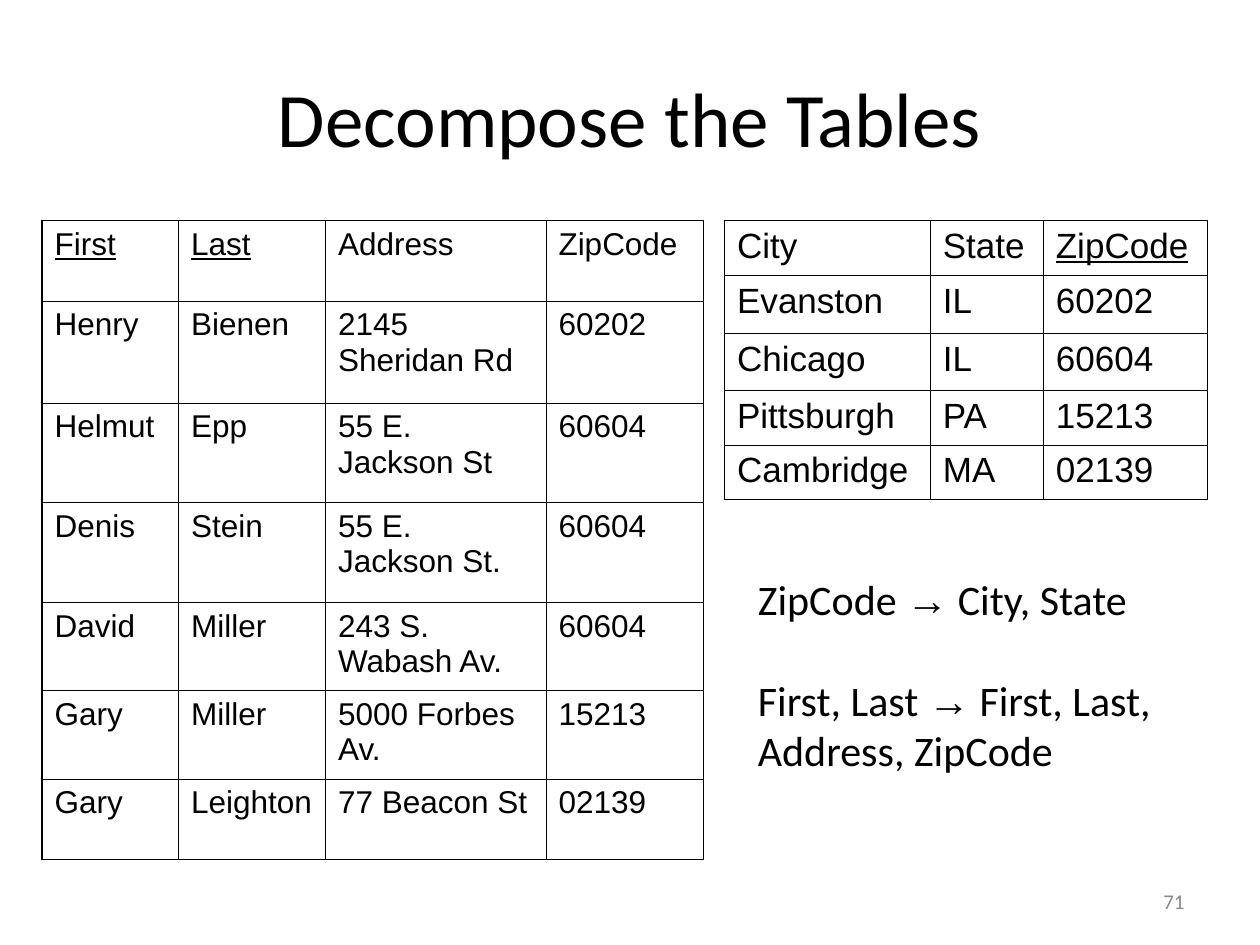
from lxml.etree import SubElement
from pptx import Presentation
from pptx.dml.color import RGBColor
from pptx.enum.text import MSO_ANCHOR as Anchor, PP_ALIGN as Align
from pptx.oxml.ns import qn
from pptx.util import Pt

BLACK = RGBColor(0x00, 0x00, 0x00)
GREY = RGBColor(0x89, 0x89, 0x89)
ARROW = "→"
OUTER, INNER = 1.08, 0.45

PLACES = [
    ("City", "State", "ZipCode"),
    ("Evanston", "IL", "60202"),
    ("Chicago", "IL", "60604"),
    ("Pittsburgh", "PA", "15213"),
    ("Cambridge", "MA", "02139"),
]
PEOPLE = [
    ("First", "Last", "Address", "ZipCode"),
    ("Henry", "Bienen", "2145 Sheridan Rd", "60202"),
    ("Helmut", "Epp", "55 E. Jackson St", "60604"),
    ("Denis", "Stein", "55 E. Jackson St.", "60604"),
    ("David", "Miller", "243 S. Wabash Av.", "60604"),
    ("Gary", "Miller", "5000 Forbes Av.", "15213"),
    ("Gary", "Leighton", "77 Beacon St", "02139"),
]


def write(p, text, size, font="Calibri", color=BLACK, align=Align.LEFT, underline=False):
    p.alignment = align
    for part in filter(None, text.partition(ARROW)):
        r = p.add_run()
        r.text = part
        r.font.name = "Arial" if part == ARROW else font
        r.font.size = Pt(size)
        r.font.color.rgb = color
        if underline:
            r.font.underline = True


def add_text(slide, box, lines, anchor=Anchor.TOP, gap=0, **fmt):
    tf = slide.shapes.add_textbox(*map(Pt, box)).text_frame
    tf.word_wrap = True
    tf.vertical_anchor = anchor
    for i, line in enumerate(lines):
        p = tf.add_paragraph() if i else tf.paragraphs[0]
        if i:
            p.space_before = Pt(gap)
        write(p, line, **fmt)


def set_border(cell, side, width):
    tc_pr = cell._tc.get_or_add_tcPr()
    ln = SubElement(tc_pr, qn(f"a:ln{side}"), w=str(Pt(width)))
    fill = SubElement(ln, qn("a:solidFill"))
    SubElement(fill, qn("a:srgbClr"), val=str(BLACK))


def add_grid(slide, left, top, widths, heights, rows, keys, size):
    last_row, last_col = len(heights) - 1, len(widths) - 1
    frame = slide.shapes.add_table(len(heights), len(widths), Pt(left), Pt(top),
                                   Pt(sum(widths)), Pt(sum(heights)))
    table = frame.table
    table.first_row = table.horz_banding = False
    for col, width in zip(table.columns, widths):
        col.width = Pt(width)
    for row, height in zip(table.rows, heights):
        row.height = Pt(height)
    for i, values in enumerate(rows):
        for j, value in enumerate(values):
            cell = table.cell(i, j)
            edges = {"L": j == 0, "R": j == last_col, "T": i == 0, "B": i == last_row}
            for side, is_outer in edges.items():
                set_border(cell, side, OUTER if is_outer else INNER)
            cell.fill.background()
            write(cell.text_frame.paragraphs[0], value, size, font="Arial",
                  underline=i == 0 and value in keys)


def main():
    """Build the slide that splits an address table in two."""
    prs = Presentation()
    prs.slide_width, prs.slide_height = Pt(720), Pt(540)
    s = prs.slides.add_slide(prs.slide_layouts[6])
    add_text(s, (36, 21.6, 648, 90), ["Decompose the Tables"],
             anchor=Anchor.MIDDLE, size=44, align=Align.CENTER)
    add_grid(s, 414, 126, [117.6, 64.6, 93.8], [31.3, 33.1, 32.6, 31, 31.3],
             PLACES, keys={"ZipCode"}, size=20)
    add_grid(s, 24, 126, [78, 84, 126, 90], [46, 58.3, 57, 57, 50.3, 50.5, 46],
             PEOPLE, keys={"First", "Last"}, size=18)
    add_text(s, (426, 324, 270, 151),
             ["ZipCode → City, State", "First, Last → First, Last, Address, ZipCode"],
             gap=29, size=24)
    add_text(s, (516, 500.5, 168, 28.8), ["71"], anchor=Anchor.MIDDLE,
             size=12, color=GREY, align=Align.RIGHT)
    prs.save("out.pptx")


if __name__ == "__main__":
    main()
